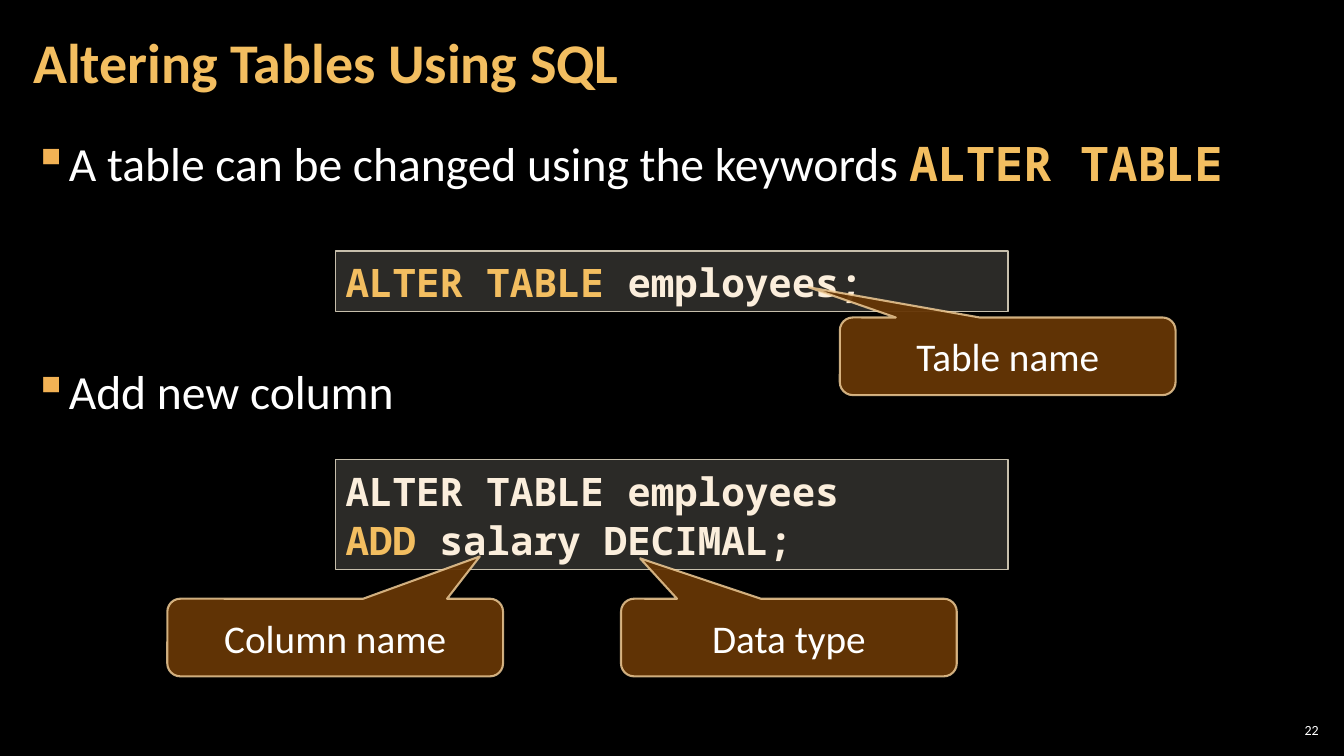
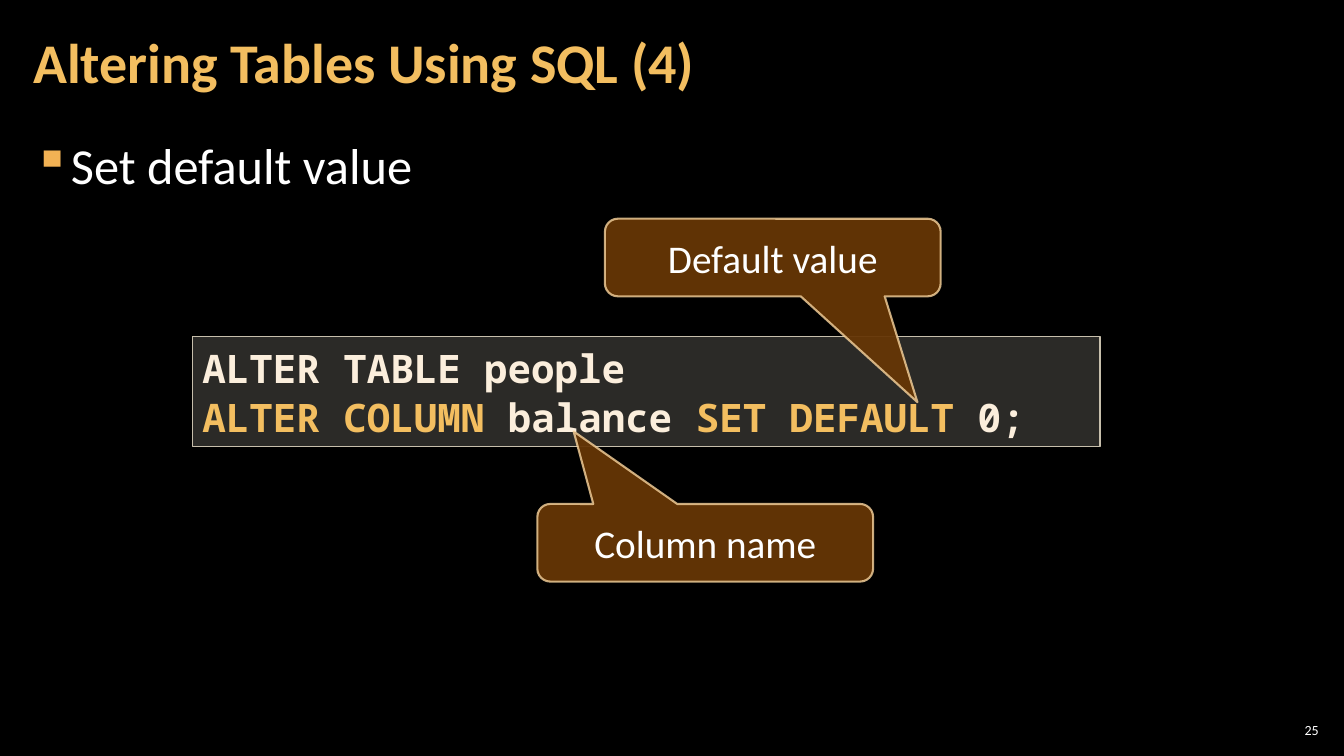
import pptx
import pptx.dml.color
import pptx.enum.shapes
import pptx.enum.text
import pptx.oxml
import pptx.oxml.ns
import pptx.util
from lxml import etree

Inches = pptx.util.Inches
Pt = pptx.util.Pt
RGBColor = pptx.dml.color.RGBColor
Shape = pptx.enum.shapes.MSO_SHAPE
Align = pptx.enum.text.PP_ALIGN
Anchor = pptx.enum.text.MSO_ANCHOR
AutoSize = pptx.enum.text.MSO_AUTO_SIZE
qn = pptx.oxml.ns.qn

BLACK = RGBColor(0x00, 0x00, 0x00)
WHITE = RGBColor(0xFF, 0xFF, 0xFF)
GOLD = RGBColor(0xF3, 0xBE, 0x60)
BULLET_GOLD = RGBColor(0xF2, 0xB2, 0x54)
CREAM = RGBColor(0xFB, 0xEE, 0xDC)
CODE_FILL = RGBColor(0xD9, 0xD5, 0xC7)
CODE_EDGE = RGBColor(0xC7, 0xBF, 0xAC)
BROWN = RGBColor(0x66, 0x36, 0x06)
CALLOUT_EDGE = RGBColor(0xF8, 0xD4, 0x9E)

TEXT_FONT = "Calibri"
CODE_FONT = "Noto Sans Mono"


class SlideWriter:
    title_format = {"name": TEXT_FONT, "size": Pt(40), "bold": True}
    number_format = {"name": TEXT_FONT, "size": Pt(10)}
    code_format = {"name": CODE_FONT, "size": Pt(28), "bold": True}
    callout_format = {"name": TEXT_FONT, "size": Pt(28)}
    callout_width = 3.33
    callout_height = 0.77

    def __init__(self):
        self.deck = pptx.Presentation()
        self.deck.slide_width = Inches(13.33)
        self.deck.slide_height = Inches(7.5)
        background = self.deck.slide_master.background.fill
        background.solid()
        background.fore_color.rgb = BLACK
        self.page = None

    def start_page(self, title, number):
        self.page = self.deck.slides.add_slide(self.deck.slide_layouts[6])
        frame = self.text_frame(12.65, 7.14, 0.47, 0.21, 0.04, Anchor.MIDDLE)
        para = frame.paragraphs[0]
        para.alignment = Align.RIGHT
        self.add_span(para, number, WHITE, self.number_format)
        frame = self.text_frame(0.21, 0.04, 10.47, 1.21, 0.12, Anchor.MIDDLE)
        para = frame.paragraphs[0]
        para.line_spacing = 0.9
        self.add_span(para, title, GOLD, self.title_format)

    def text_frame(self, left, top, width, height, side_margin, anchor):
        box = self.page.shapes.add_textbox(
            Inches(left), Inches(top), Inches(width), Inches(height))
        frame = box.text_frame
        settings = {
            "word_wrap": True, "vertical_anchor": anchor,
            "margin_left": Inches(side_margin), "margin_right": Inches(side_margin),
            "margin_top": Inches(0.04), "margin_bottom": Inches(0.04)}
        for name, value in settings.items():
            setattr(frame, name, value)
        return frame

    def add_span(self, para, text, color, style):
        span = para.add_run()
        span.text = text
        for name, value in style.items():
            setattr(span.font, name, value)
        span.font.color.rgb = color

    def paragraphs(self, frame, count):
        return [frame.paragraphs[0]] + [frame.add_paragraph() for _ in range(count - 1)]

    def bullets(self, size, items):
        frame = self.text_frame(0.21, 1.26, 12.91, 6.09, 0.12, Anchor.TOP)
        plain = {"name": TEXT_FONT, "size": Pt(size), "bold": False}
        keyword = {"name": CODE_FONT, "size": Pt(size), "bold": True}
        for index, (para, spans) in enumerate(
                zip(self.paragraphs(frame, len(items)), items)):
            para.line_spacing = 1.05
            para.space_before = Pt(114 if index else 0)
            para.space_after = Pt(6)
            self.add_bullet(para)
            for text, marked in spans:
                self.add_span(para, text, GOLD if marked else WHITE,
                              keyword if marked else plain)

    def add_bullet(self, para):
        properties = para._p.get_or_add_pPr()
        properties.set("marL", str(Inches(0.33)))
        properties.set("indent", str(-Inches(0.33)))
        color = etree.SubElement(properties, qn("a:buClr"))
        etree.SubElement(color, qn("a:srgbClr")).set("val", str(BULLET_GOLD))
        etree.SubElement(properties, qn("a:buChar")).set("char", "▪")

    def set_opacity(self, fill, percent):
        color = fill._xPr.find(qn("a:solidFill"))[0]
        etree.SubElement(color, qn("a:alpha")).set("val", str(percent * 1000))

    def shape(self, kind, left, top, width, height, fill, opacity, edge, edge_width):
        box = self.page.shapes.add_shape(
            kind, Inches(left), Inches(top), Inches(width), Inches(height))
        box.shadow.inherit = False
        box.fill.solid()
        box.fill.fore_color.rgb = fill
        self.set_opacity(box.fill, opacity)
        box.line.color.rgb = edge
        box.line.width = Pt(edge_width)
        box.text_frame.word_wrap = True
        return box

    def code(self, left, top, width, height, lines):
        box = self.shape(Shape.RECTANGLE, left, top, width, height,
                         CODE_FILL, 20, CODE_EDGE, 1)
        frame = box.text_frame
        frame.vertical_anchor = Anchor.TOP
        frame.auto_size = AutoSize.SHAPE_TO_FIT_TEXT
        for para, spans in zip(self.paragraphs(frame, len(lines)), lines):
            para.alignment = Align.LEFT
            para.line_spacing = 1.05
            for text, marked in spans:
                self.add_span(para, text, GOLD if marked else CREAM, self.code_format)

    def callout(self, text, left, top, tip_x, tip_y):
        width, height = self.callout_width, self.callout_height
        box = self.shape(Shape.ROUNDED_RECTANGULAR_CALLOUT, left, top, width, height,
                         BROWN, 95, CALLOUT_EDGE, 1.5)
        self.set_opacity(box.line.fill, 80)
        box.adjustments[0] = (tip_x - left) / width - 0.5
        box.adjustments[1] = (tip_y - top) / height - 0.5
        box.adjustments[2] = 0.167
        box.text_frame.vertical_anchor = Anchor.MIDDLE
        para = box.text_frame.paragraphs[0]
        para.alignment = Align.CENTER
        self.add_span(para, text, WHITE, self.callout_format)


def main():
    writer = SlideWriter()

    writer.start_page("Altering Tables Using SQL", "22")
    writer.bullets(34, [
        [("A table can be changed using the keywords ", False), ("ALTER TABLE", True)],
        [("Add new column", False)]])
    writer.code(3.33, 4.56, 6.67, 1.09, [
        [("ALTER TABLE employees", False)],
        [("ADD ", True), ("salary DECIMAL;", False)]])
    writer.code(3.33, 2.49, 6.67, 0.6, [
        [("ALTER TABLE ", True), ("employees;", False)]])
    writer.callout("Table name", 8.33, 3.15, 8.02, 2.85)
    writer.callout("Column name", 1.66, 5.94, 4.76, 5.52)
    writer.callout("Data type", 6.16, 5.94, 6.35, 5.54)

    writer.start_page("Altering Tables Using SQL (4)", "25")
    writer.bullets(36, [[("Set default value", False)]])
    writer.code(1.91, 3.34, 9, 1.09, [
        [("ALTER TABLE people", False)],
        [("ALTER COLUMN ", True), ("balance", False),
         (" SET DEFAULT ", True), ("0;", False)]])
    writer.callout("Column name", 5.33, 5, 5.69, 4.28)
    writer.callout("Default value", 6, 2.17, 9.1, 3.99)

    writer.deck.save("out.pptx")


if __name__ == "__main__":
    main()
